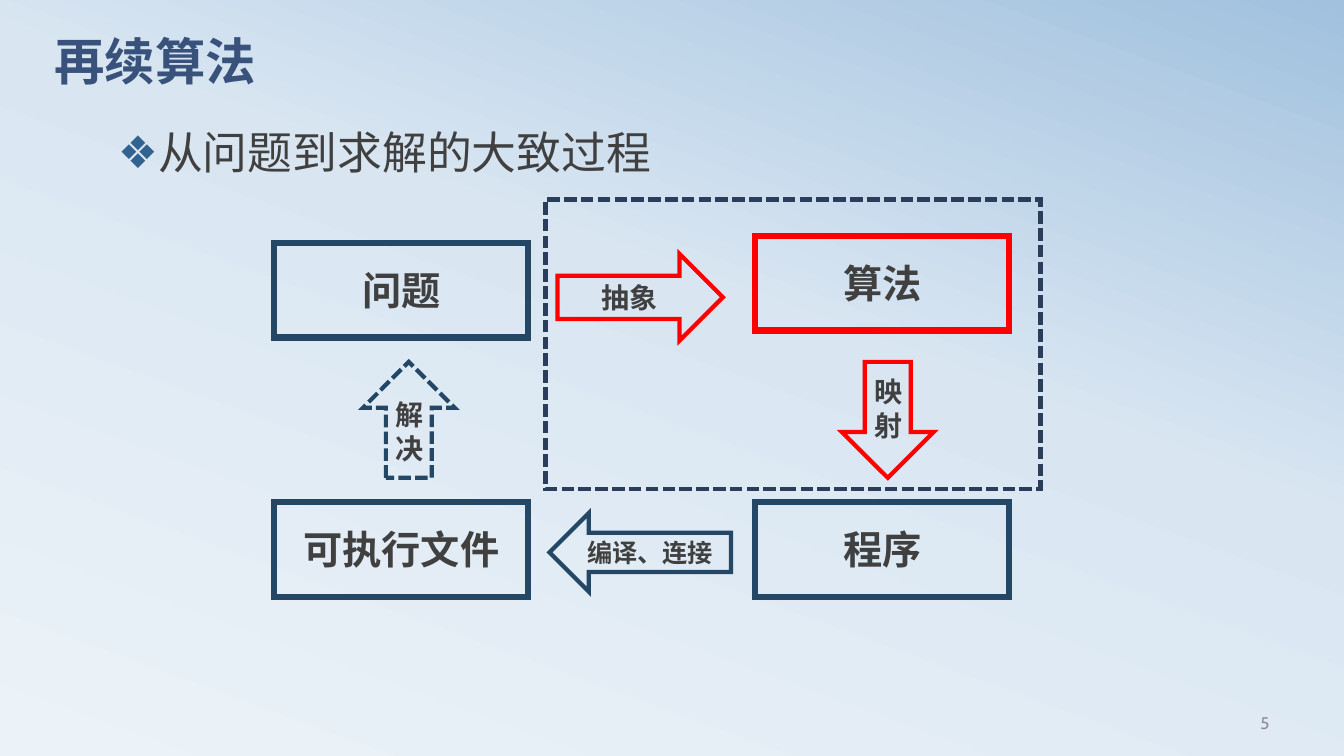
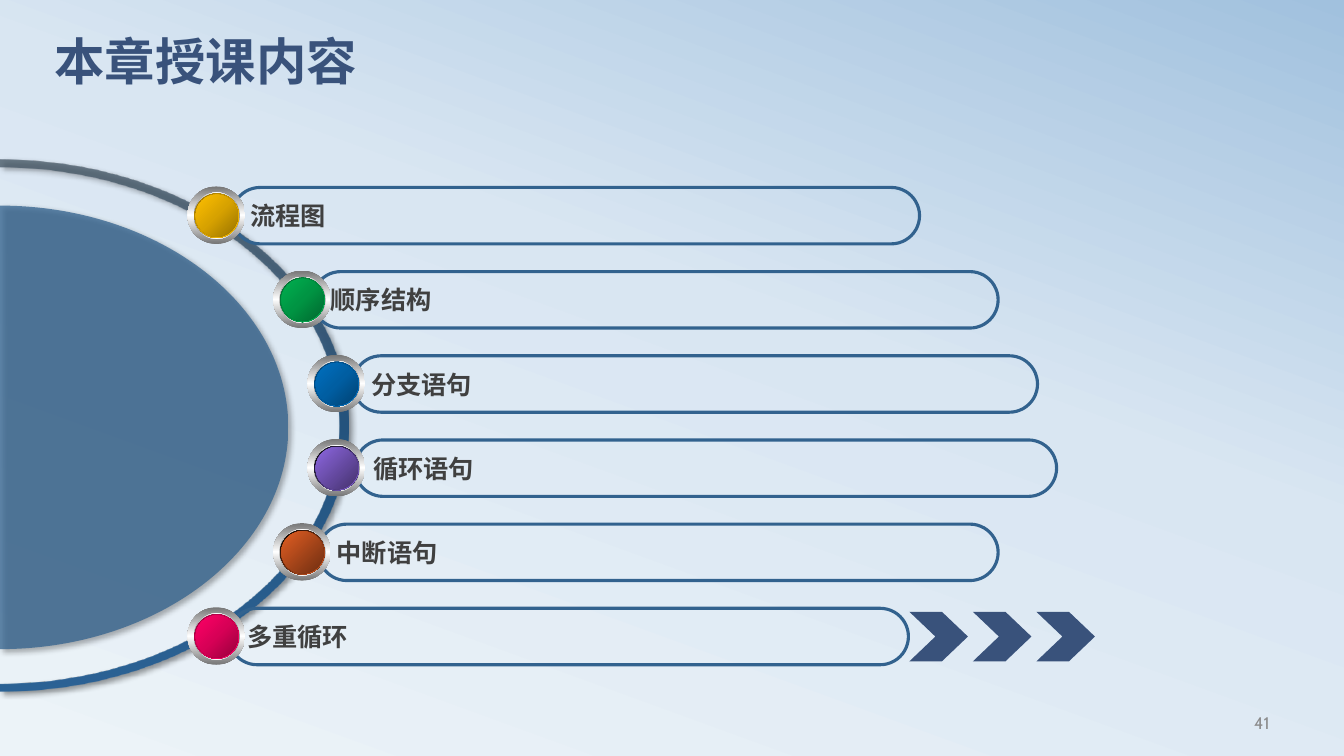
from lxml import etree
from pptx import Presentation
from pptx.dml.color import RGBColor
from pptx.enum.shapes import MSO_SHAPE
from pptx.enum.text import MSO_ANCHOR, MSO_AUTO_SIZE, PP_ALIGN
from pptx.oxml.ns import qn
from pptx.util import Inches, Pt

RECTANGLE, PILL, ELLIPSE = MSO_SHAPE.RECTANGLE, MSO_SHAPE.ROUNDED_RECTANGLE, MSO_SHAPE.OVAL
CHEVRON = MSO_SHAPE.CHEVRON
RIGHT_ARROW, LEFT_ARROW = MSO_SHAPE.RIGHT_ARROW, MSO_SHAPE.LEFT_ARROW
LEFT, CENTER, RIGHT = PP_ALIGN.LEFT, PP_ALIGN.CENTER, PP_ALIGN.RIGHT
TOP, MIDDLE = MSO_ANCHOR.TOP, MSO_ANCHOR.MIDDLE
NO_AUTOFIT = MSO_AUTO_SIZE.NONE

LATIN, CHINESE = "Cabin", "Noto Sans CJK SC"
NAVY, BLUE, DEEP_BLUE = "39527B", "32628E", "244766"
RED, FRAME, INK, GRAY = "FF0000", "2A3D5B", "404040", "8C8C8C"
BACKGROUND = [(0, "ECF3F8"), (58, "D9E6F2"), (100, "A1C1DE")]


def color(hex_value):
    return RGBColor.from_string(hex_value)


def add_xml(parent, tag, **attributes):
    return etree.SubElement(parent, qn(tag), {key: str(value) for key, value in attributes.items()})


def add_color_xml(parent, hex_value, opacity=100):
    element = add_xml(parent, "a:srgbClr", val=hex_value)
    if opacity < 100:
        add_xml(element, "a:alpha", val=opacity * 1000)


def set_gradient(fill, element, stops, angle):
    fill.gradient()
    gradient = next(element.iter(qn("a:gradFill")))
    stop_list = gradient.find(qn("a:gsLst"))
    for stop in list(stop_list):
        stop_list.remove(stop)
    for position, *shade in stops:
        add_color_xml(add_xml(stop_list, "a:gs", pos=position * 1000), *shade)
    gradient.find(qn("a:lin")).set("ang", str(angle * 60000))


def place(shape, left, top, width, height):
    shape.left, shape.top = Inches(left), Inches(top)
    shape.width, shape.height = Inches(width), Inches(height)


def write(shape, text, size=18, font=CHINESE, ink=INK, bold=False, align=LEFT,
          anchor=MIDDLE, spacing=None):
    frame = shape.text_frame
    frame.word_wrap = True
    frame.auto_size = NO_AUTOFIT
    frame.vertical_anchor = anchor
    paragraph = frame.paragraphs[0]
    paragraph.alignment = align
    if spacing:
        paragraph.line_spacing = spacing
    run = paragraph.add_run()
    run.text = text
    run.font.size, run.font.bold, run.font.name = Pt(size), bold, font
    run.font.color.rgb = color(ink)
    add_xml(run.font._element, "a:ea", typeface=CHINESE)
    return paragraph


def add_shape(shapes, kind, box, fill=None, line=None, weight=3, dashed=False):
    shape = shapes.add_shape(kind, *(Inches(value) for value in box))
    shape.shadow.inherit = False
    if fill:
        shape.fill.solid()
        shape.fill.fore_color.rgb = color(fill)
    else:
        shape.fill.background()
    if line:
        shape.line.color.rgb = color(line)
        shape.line.width = Pt(weight)
        outline = shape._element.spPr.find(qn("a:ln"))
        if dashed:
            add_xml(outline, "a:prstDash", val="sysDash")
        add_xml(outline, "a:miter", lim=800000)
    else:
        shape.line.fill.background()
    return shape


def add_slide(presentation, layout, title, number):
    slide = presentation.slides.add_slide(presentation.slide_layouts[layout])
    place(slide.shapes.title, 0.44, 0.36, 12, 0.94)
    write(slide.shapes.title, title, size=36, font=LATIN, ink=NAVY, bold=True,
          anchor=TOP, spacing=0.8)
    box = [Inches(value) for value in (9.58, 6.97, 3.11, 0.4)]
    write(slide.shapes.add_textbox(*box), number, size=12, font=LATIN, ink=GRAY, align=RIGHT)
    return slide


def fill_bullet(body, text, left, top):
    place(body, left, top, 10.08, 0.77)
    paragraph = write(body, text, size=32, anchor=TOP, spacing=0.9)
    paragraph.space_before, paragraph.space_after = Pt(18), Pt(12)
    properties = paragraph._p.get_or_add_pPr()
    properties.set("marL", str(Inches(0.25)))
    properties.set("indent", str(Inches(-0.25)))
    add_color_xml(add_xml(properties, "a:buClr"), BLUE)
    add_xml(properties, "a:buChar", char="❖")


def add_process(shapes, left, top):
    column, row = 4.77, 2.57
    stages = [("问题", 0, 0.07, DEEP_BLUE), ("算法", column, 0, RED),
              ("程序", column, 0.07 + row, DEEP_BLUE), ("可执行文件", 0, 0.07 + row, DEEP_BLUE)]
    for text, x, y, line in stages:
        box = add_shape(shapes, RECTANGLE, (left + x, top + y, 2.52, 0.94), line=line, weight=4.5)
        write(box, text, size=28, bold=True, align=CENTER)
    arrows = [("抽象", RIGHT_ARROW, (2.81, 0.18, 1.64, 0.86), RED, 20, 0, None),
              ("映射", RIGHT_ARROW, (5.51, 1.37, 1.15, 0.91), RED, 20, 90, "vert270"),
              ("编译、连接", LEFT_ARROW, (2.73, 2.75, 1.8, 0.78), DEEP_BLUE, 18, 0, None),
              ("解决", RIGHT_ARROW, (0.76, 1.37, 1.15, 0.91), DEEP_BLUE, 20, 270, "vert")]
    for text, kind, (x, y, width, height), line, size, rotation, direction in arrows:
        arrow = add_shape(shapes, kind, (left + x, top + y, width, height), line=line,
                          dashed=rotation == 270)
        arrow.rotation = rotation
        write(arrow, text, size=size, bold=True, align=CENTER)
        if direction:
            arrow.text_frame._txBody.bodyPr.set("vert", direction)
    add_shape(shapes, RECTANGLE, (left + 2.69, top - 0.36, 4.91, 2.87), line=FRAME, dashed=True)


def half_ellipse(center, width, height):
    pull = 0.55
    curve = [(0, -1), (pull, -1), (1, -pull), (1, 0), (1, pull), (pull, 1), (0, 1)]
    return [(Inches(width * x), Inches(center + height * y)) for x, y in curve]


def bend_arcs(shape):
    outline = next(shape._element.iter(qn("a:path")))
    lines = outline.findall(qn("a:lnTo"))
    for arc in range(0, len(lines), 7):
        for start in (arc, arc + 3):
            curve = etree.Element(qn("a:cubicBezTo"))
            lines[start].addprevious(curve)
            for line in lines[start:start + 3]:
                curve.append(line[0])
                outline.remove(line)


def add_outline(shapes, points, stops):
    builder = shapes.build_freeform(*points[0])
    builder.add_line_segments(points[1:], close=True)
    shape = builder.convert_to_shape()
    bend_arcs(shape)
    shape.line.fill.background()
    set_gradient(shape.fill, shape._element, stops, 90)
    shape.shadow.inherit = False
    effects = shape._element.spPr.find(qn("a:effectLst"))
    shadow = add_xml(effects, "a:outerShdw", blurRad=Pt(4), dist=Pt(3), dir=45 * 60000)
    add_color_xml(shadow, "000000", 40)


def add_dome(shapes, center):
    ring = half_ellipse(center, 3.46, 2.64) + half_ellipse(center, 3.36, 2.56)[::-1]
    add_outline(shapes, ring, [(0, "445462", 75), (50, "24537D"), (100, "2B6295")])
    add_outline(shapes, half_ellipse(center + 0.02, 2.86, 2.2),
                [(0, BLUE, 75), (100, BLUE, 75)])


def add_button(shapes, left, top, shades, rim_shades):
    def spread(values):
        return [(100 * index // (len(values) - 1), value) for index, value in enumerate(values)]

    button = shapes.add_group_shape()
    layers = [(0, 0.57, ("767676", "FFFFFF", "767676"), 90),
              (0.06, 0.46, ("A2A2A2", "FFFFFF", "A2A2A2"), 0),
              (0.07, 0.44, rim_shades, 45),
              (0.08, 0.42, shades, 225)]
    for inset, size, values, angle in layers:
        disc = add_shape(button.shapes, ELLIPSE, (left + inset, top + inset - 0.01, size, size))
        set_gradient(disc.fill, disc._element, spread(values), angle)


def add_topics(shapes, top):
    yellow, green = ("977200", "D7A200", "FFC000"), ("00682F", "009443", "00B050")
    blue, purple = ("004272", "005EA2", "0070C0"), ("45326D", "8D67E1")
    orange, pink = ("6E2E11", "E35E23"), ("97003C", "D70056", "FF0066")
    topics = [("流程图", 2.3, 6.82, 1.86, yellow, yellow),
              ("顺序结构", 3.1, 6.8, 2.71, green, green),
              ("分支语句", 3.5, 6.79, 3.05, blue, blue),
              ("循环语句", 3.52, 6.96, 3.05, purple, ("000000", "8D67E1")),
              ("中断语句", 3.16, 6.74, 2.71, orange, ("000000", "E35E23")),
              ("多重循环", 2.27, 6.74, 1.86, pink, pink)]
    pitch = 0.835
    for index, (text, left, width, button_left, shades, rim_shades) in enumerate(topics):
        y = top + index * pitch
        bar = add_shape(shapes, PILL, (left, y, width, 0.56), line=BLUE, weight=2.25)
        bar.adjustments[0] = 0.5
        write(bar, text, bold=True)
        add_button(shapes, button_left, y, shades, rim_shades)


def add_chevrons(shapes, left, top):
    group = shapes.add_group_shape()
    for index in range(3):
        box = (left + index * 0.63, top, 0.58, 0.49)
        chevron = add_shape(group.shapes, CHEVRON, box, fill=NAVY)
        chevron.adjustments[0] = 0.525


def build_process_slide(presentation):
    slide = add_slide(presentation, 1, "再续算法", "5")
    fill_bullet(slide.placeholders[1], "从问题到求解的大致过程", 1.07, 1.25)
    add_process(slide.shapes, 2.72, 2.34)


def build_topics_slide(presentation):
    slide = add_slide(presentation, 5, "本章授课内容", "41")
    add_dome(slide.shapes, 4.22)
    add_topics(slide.shapes, 1.86)
    add_chevrons(slide.shapes, 9.02, 6.07)


def main():
    presentation = Presentation()
    presentation.slide_width, presentation.slide_height = Inches(13.33), Inches(7.5)
    master = presentation.slide_master
    set_gradient(master.background.fill, master._element, BACKGROUND, 290)
    build_process_slide(presentation)
    build_topics_slide(presentation)
    presentation.save("out.pptx")


if __name__ == "__main__":
    main()
